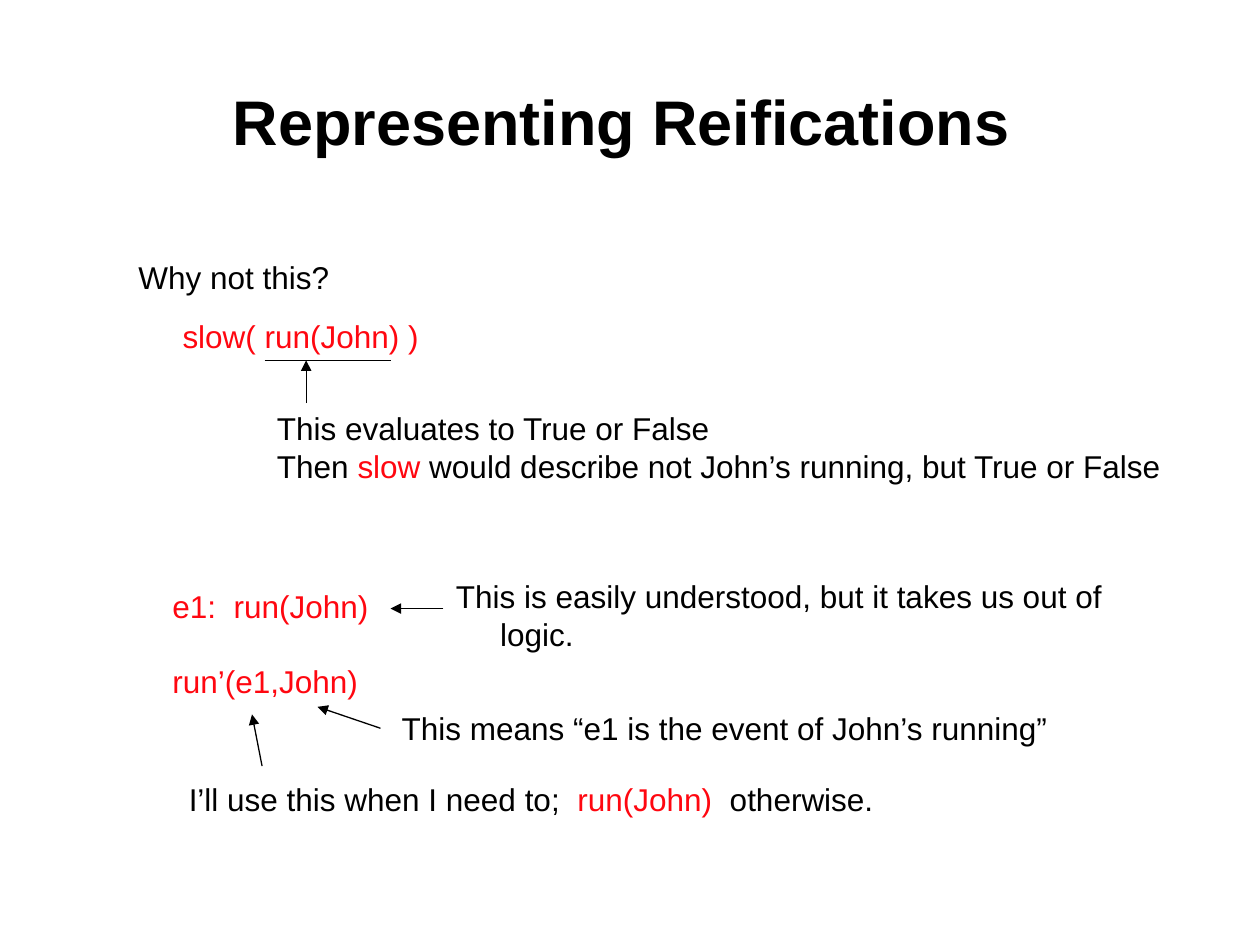
from lxml import etree
from pptx import Presentation
from pptx.dml.color import RGBColor
from pptx.enum.shapes import MSO_CONNECTOR as Connector
from pptx.enum.text import MSO_ANCHOR as Anchor, PP_ALIGN as Align
from pptx.oxml.ns import qn
from pptx.util import Inches, Pt

COLORS = {"text": "000000", "logic": "FF0710"}
FONT = "Arial"
BODY_SIZE = 18
INDENT = 0.35


def add_run(paragraph, text, color="text", size=BODY_SIZE, bold=False):
    run = paragraph.add_run()
    run.text = text
    run.font.name = FONT
    run.font.size = Pt(size)
    run.font.bold = bold
    run.font.color.rgb = RGBColor.from_string(COLORS[color])


def add_title(slide, text):
    frame = slide.shapes.add_textbox(
        Inches(0.75), Inches(0.33), Inches(8.5), Inches(1.25)).text_frame
    frame.word_wrap = True
    frame.vertical_anchor = Anchor.MIDDLE
    heading = frame.paragraphs[0]
    heading.alignment = Align.CENTER
    add_run(heading, text, size=36, bold=True)


def add_note(slide, box, *lines, gap=0, indent=0):
    """Add lines of (text, color) runs; gap and indent apply after the first."""
    frame = slide.shapes.add_textbox(*map(Inches, box)).text_frame
    frame.word_wrap = True
    for number, runs in enumerate(lines):
        line = frame.add_paragraph() if number else frame.paragraphs[0]
        if number:
            line.space_before = Pt(gap)
            if indent:
                line._p.get_or_add_pPr().set("marL", str(Inches(indent)))
        for text, color in runs:
            add_run(line, text, color)


def add_line(slide, start, end, arrow=True):
    line = slide.shapes.add_connector(
        Connector.STRAIGHT, *map(Inches, start + end))
    line.line.width = Pt(0.75)
    line.line.color.rgb = RGBColor.from_string(COLORS["text"])
    if arrow:
        etree.SubElement(line.line._get_or_add_ln(), qn("a:tailEnd"), type="triangle")
    etree.SubElement(line._element.spPr, qn("a:effectLst"))


def main():
    deck = Presentation()
    deck.slide_width, deck.slide_height = Inches(10), Inches(7.5)
    slide = deck.slides.add_slide(deck.slide_layouts[6])

    add_title(slide, "Representing Reifications ")

    add_note(slide, (1, 2, 2.55, 0.87),
             [("Why not this?", "text")],
             [("slow( run(John) )", "logic")],
             gap=12, indent=INDENT)
    add_note(slide, (2.1, 3.2, 7.3, 0.7),
             [("This evaluates to True or False", "text")],
             [("Then ", "text"), ("slow", "logic"),
              (" would describe not John’s running, but True or False", "text")])

    add_note(slide, (1.27, 4.61, 1.85, 1),
             [("e1:  run(John)", "logic")],
             [("run’(e1,John)", "logic")],
             gap=21.5)
    add_note(slide, (3.52, 4.53, 5.45, 0.7),
             [("This is easily understood, but it takes us out of", "text")],
             [("logic.", "text")],
             indent=INDENT)
    add_note(slide, (3.09, 5.58, 5.4, 0.4),
             [("This means “e1 is the event of John’s running”", "text")])
    add_note(slide, (1.4, 6.14, 5.7, 0.4),
             [("I’ll use this when I need to;  ", "text"),
              ("run(John)", "logic"), ("  otherwise.", "text")])

    add_line(slide, (2.1, 2.86), (3.1, 2.86), arrow=False)
    for start, end in [((2.43, 3.2), (2.43, 2.86)),
                       ((3.52, 4.83), (3.1, 4.83)),
                       ((3.02, 5.78), (2.52, 5.61)),
                       ((2.08, 6.08), (2, 5.67))]:
        add_line(slide, start, end)

    deck.save("out.pptx")


if __name__ == "__main__":
    main()
